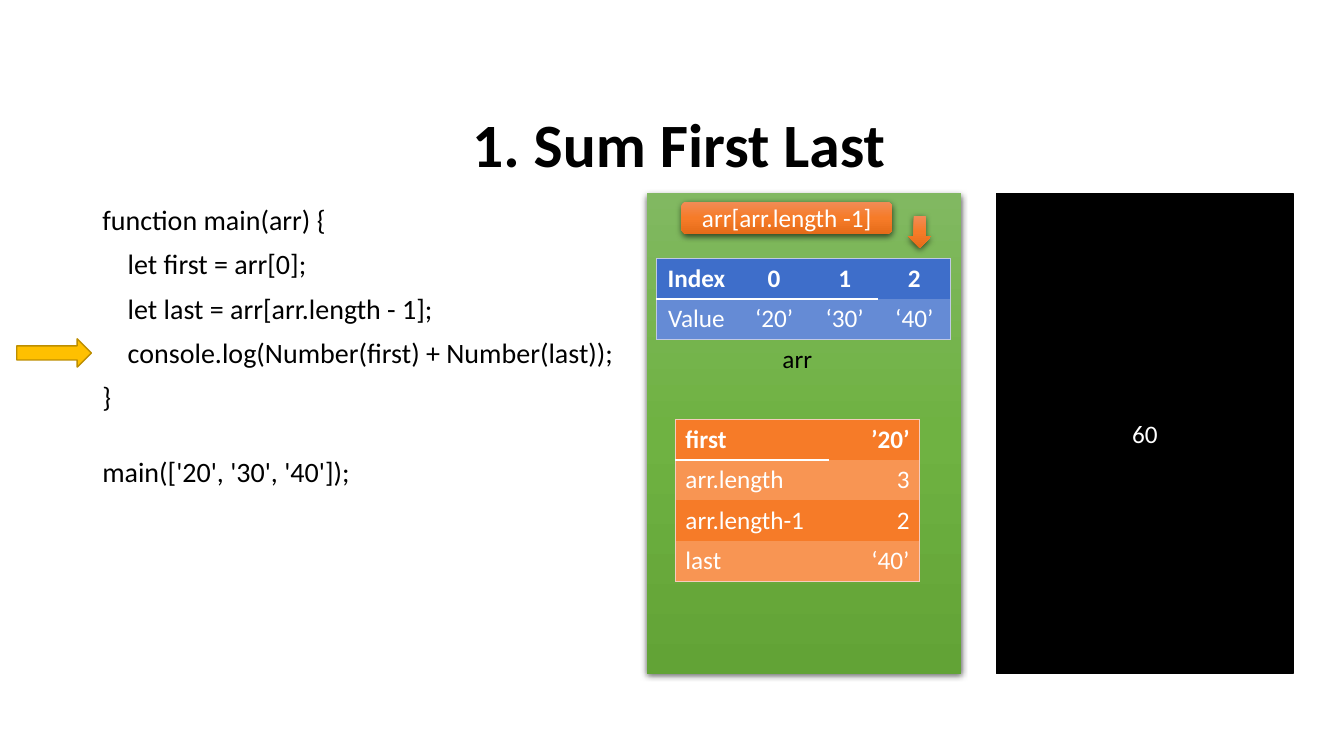
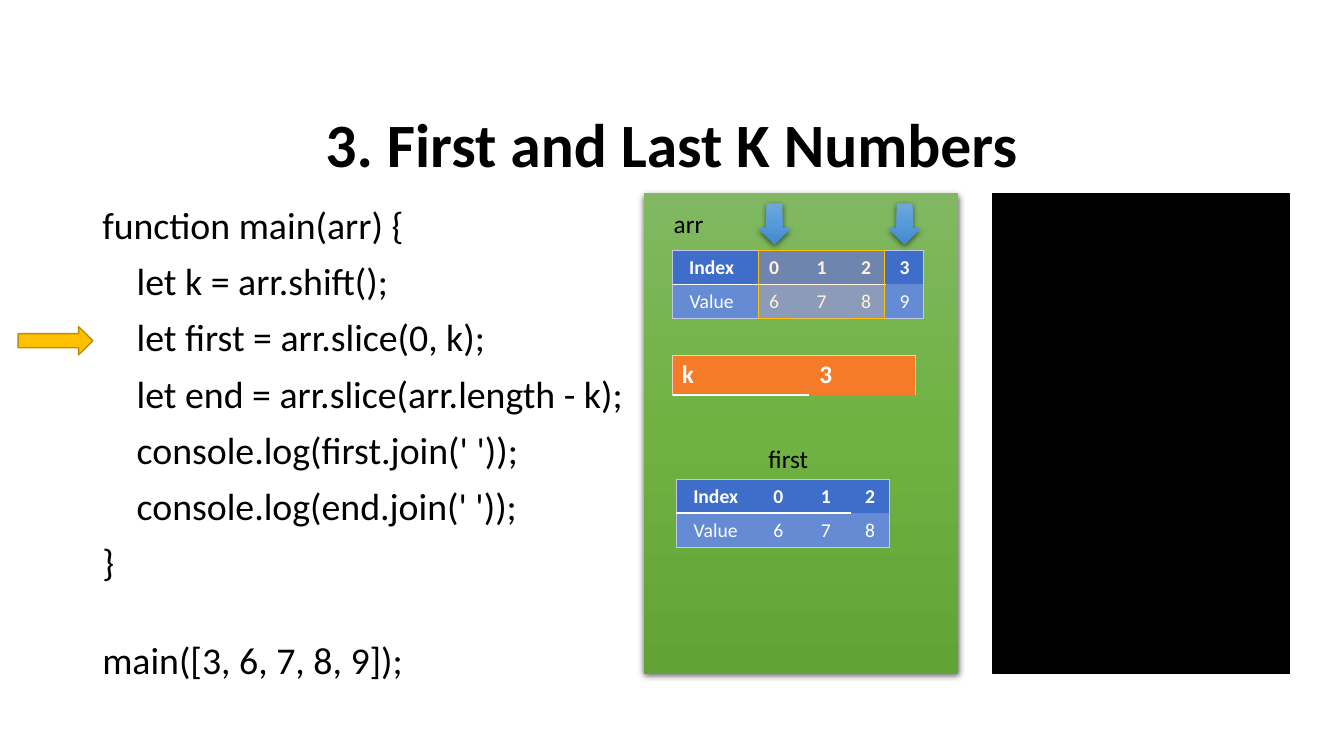
from dataclasses import dataclass
from lxml.etree import SubElement
from pptx import Presentation
from pptx.dml.color import RGBColor
from pptx.enum.shapes import MSO_SHAPE as Shape
from pptx.enum.text import MSO_ANCHOR as Anchor, PP_ALIGN as Align
from pptx.oxml.ns import qn
from pptx.oxml.xmlchemy import OxmlElement
from pptx.util import Pt


# Colours and type sizes
@dataclass(frozen=True)
class Theme:
    font: str = "Calibri"
    title_size: int = 44
    code_size: int = 20
    large_code_size: int = 27
    text_size: int = 18
    small_size: int = 14
    black: str = "000000"
    white: str = "FFFFFF"
    gold: str = "FFC000"
    gold_edge: str = "BD8E00"
    highlight: str = "FFCC66"
    green: tuple = ("81B861", "6FB242", "62A336")
    orange: tuple = ("F18C57", "F67B28", "E56C19")
    blue: tuple = ("71A6DB", "559BDB", "448ACA")
    # Table palettes: header row, alternate row, outer edge
    blue_table: tuple = ("3E6ECA", "658BD5", "C1C9E4")
    orange_table: tuple = ("F67B28", "F89553", "F6CCBE")


theme = Theme()
NO_STYLE = "{2D5ABB26-0587-4C30-8999-92F81FD0307C}"
LINE_SPACING = 0.9
CODE_LEFT = 66


def rgb(value):
    return RGBColor.from_string(value)


def add_color(parent, value, alpha=None):
    color = SubElement(parent, qn("a:srgbClr"), val=value)
    if alpha is not None:
        SubElement(color, qn("a:alpha"), val=str(alpha * 1000))


def write(frame, text, *, size=theme.text_size, color=theme.black, bold=False,
          align=Align.LEFT, spacing=None, before=None, indent=0, first=True):
    """Fill the first paragraph of a frame, or add another one."""
    frame.word_wrap = True
    para = frame.paragraphs[0] if first else frame.add_paragraph()
    para.alignment = align
    if spacing:
        para.line_spacing = spacing
    if before is not None:
        para.space_before = Pt(before)
    if indent:
        para._p.get_or_add_pPr().set("marL", str(Pt(indent)))
    span = para.add_run()
    span.text = text
    span.font.name = theme.font
    span.font.size = Pt(size)
    span.font.bold = bold
    span.font.color.rgb = rgb(color)


def set_borders(cell, edges):
    """Draw the given edges, a dict of side: (colour, width)."""
    props = cell._tc.get_or_add_tcPr()
    sides = [side for side in "LRTB" if side in edges]
    for place, side in enumerate(sides):
        color, width = edges[side]
        line = OxmlElement(f"a:ln{side}")
        line.set("w", str(Pt(width)))
        add_color(SubElement(line, qn("a:solidFill")), color)
        props.insert(place, line)


class Lesson:
    """The deck, its style and the current page."""

    def __init__(self):
        self.deck = Presentation()
        self.deck.slide_width, self.deck.slide_height = Pt(960), Pt(540)
        self.page = None

    def box(self, left, top, width, height):
        area = map(Pt, (left, top, width, height))
        return self.page.shapes.add_textbox(*area).text_frame

    def label(self, text, left, top):
        write(self.box(left, top, 183, 29), text, align=Align.CENTER)

    def title(self, text):
        frame = self.box(66, 28.5, 828, 104)
        frame.vertical_anchor = Anchor.BOTTOM
        write(frame, text, size=theme.title_size, bold=True,
              align=Align.CENTER, spacing=LINE_SPACING)

    def code(self, blocks, size, gap, right):
        """Write code blocks, one line's height apart, ending left of right."""
        frame = self.box(CODE_LEFT, 144, right - CODE_LEFT, 343)
        frame.margin_right = 0
        first = True
        for number, block in enumerate(blocks):
            for row, line in enumerate(block):
                extra = 1.1 * size if number and row == 0 else 0
                text = line.lstrip()
                write(frame, text, size=size, spacing=LINE_SPACING,
                      before=round(gap + extra, 2), first=first,
                      indent=0.91 * size if text != line else 0)
                first = False

    def shape(self, kind, left, top, width, height, fill, *, line=None,
              line_width=1, alpha=None, text=None):
        """A preset shape; a tuple as fill gives a shaded, raised one."""
        area = map(Pt, (left, top, width, height))
        item = self.page.shapes.add_shape(kind, *area)
        item.shadow.inherit = False
        if isinstance(fill, tuple):
            self.shade(item, fill)
        else:
            item.fill.solid()
            item.fill.fore_color.rgb = rgb(fill)
            if alpha is not None:
                color = item.element.spPr.find(".//" + qn("a:srgbClr"))
                SubElement(color, qn("a:alpha"), val=str(alpha * 1000))
        if line:
            item.line.color.rgb = rgb(line)
            item.line.width = Pt(line_width)
        else:
            item.line.fill.background()
        if text:
            item.text_frame.vertical_anchor = Anchor.MIDDLE
            write(item.text_frame, text, color=theme.white, align=Align.CENTER)

    def shade(self, item, colors):
        item.fill.gradient()
        item.fill.gradient_angle = 270
        props = item.element.spPr
        stops = props.find(".//" + qn("a:gsLst"))
        for stop in list(stops):
            stops.remove(stop)
        for place, color in enumerate(colors):
            add_color(SubElement(stops, qn("a:gs"), pos=str(place * 50000)), color)
        shadow = SubElement(props.find(qn("a:effectLst")), qn("a:outerShdw"),
                            blurRad=str(Pt(4.5)), dist=str(Pt(1.5)),
                            dir="5400000", algn="ctr", rotWithShape="0")
        add_color(shadow, theme.black, 63)

    def table(self, rows, left, top, widths, row_height, palette, *,
              size=theme.text_size, aligns=None):
        """A table with a bold header row and alternating fills."""
        area = map(Pt, (left, top, sum(widths), row_height * len(rows)))
        holder = self.page.shapes.add_table(len(rows), len(widths), *area)
        next(holder.element.iter(qn("a:tableStyleId"))).text = NO_STYLE
        grid = holder.table
        for column, width in zip(grid.columns, widths):
            column.width = Pt(width)
        last_row, last_column = len(rows) - 1, len(widths) - 1
        edge = (palette[2], 0.5)
        for r, values in enumerate(rows):
            grid.rows[r].height = Pt(row_height)
            for c, value in enumerate(values):
                cell = grid.cell(r, c)
                cell.fill.solid()
                cell.fill.fore_color.rgb = rgb(palette[r % 2])
                write(cell.text_frame, value, size=size, color=theme.white,
                      bold=r == 0, align=aligns[c] if aligns else Align.CENTER)
                edges = {}
                if c == 0:
                    edges["L"] = edge
                if c == last_column:
                    edges["R"] = edge
                if r == 0:
                    edges["T"] = edge
                    if c < last_column:
                        edges["B"] = (theme.white, 1.5)
                elif r == last_row:
                    edges["B"] = edge
                set_borders(cell, edges)

    def array(self, values, left, top, widths, row_height, size=theme.text_size):
        """An indexed array as a two-row table."""
        header = ["Index", *map(str, range(len(values)))]
        self.table([header, ["Value", *values]], left, top, widths,
                   row_height, theme.blue_table, size=size)

    def start(self, title, code, size, gap, panel_left, pointer, output=None):
        """A page with code, memory panel, output screen and line pointer."""
        self.page = self.deck.slides.add_slide(self.deck.slide_layouts[6])
        self.shape(Shape.RECTANGLE, panel_left, 138.2, 224.6, 343, theme.green)
        self.title(title)
        self.code(code, size, gap, panel_left - 4)
        self.shape(Shape.RIGHT_ARROW, *pointer, 53.3, 20.2, theme.gold,
                   line=theme.gold_edge)
        self.shape(Shape.RECTANGLE, panel_left + 249.5, 138.2, 212, 343,
                   theme.black, line=theme.black, text=output)


lesson = Lesson()

# Slide 1: sum of the first and last elements
lesson.start(" 1. Sum First Last", [
    ["function main(arr) {",
     "    let first = arr[0];",
     "    let last = arr[arr.length - 1];",
     "    console.log(Number(first) + Number(last));",
     "}"],
    ["main(['20', '30', '40']);"],
], theme.code_size, 10, 462.2, (12, 242), output="60")
lesson.array(["‘20’", "‘30’", "‘40’"], 468.7, 184.5, [57.6, 53.3, 47.5, 52], 29)
lesson.label("arr", 478, 242)
lesson.table([["first", "’20’"], ["arr.length", "3"],
              ["arr.length-1", "2"], ["last", "‘40’"]],
             482.4, 299.5, [109.5, 65], 28.9, theme.orange_table,
             aligns=[Align.LEFT, Align.RIGHT])
lesson.shape(Shape.DOWN_ARROW, 648.7, 154, 16.6, 23, theme.orange)
lesson.shape(Shape.ROUNDED_RECTANGLE, 486.7, 144, 150.5, 23, theme.orange,
             text="arr[arr.length -1]")

# Slide 2: first and last k numbers
lesson.start("3. First and Last K Numbers", [
    ["function main(arr) {",
     "    let k = arr.shift();",
     "    let first = arr.slice(0, k);",
     "    let end = arr.slice(arr.length - k);",
     "    console.log(first.join(' '));",
     "    console.log(end.join(' '));",
     "}"],
    ["main([3, 6, 7, 8, 9]);"],
], theme.large_code_size, 11, 459.7, (13, 233.3))
index_widths = [56.9, 32.4, 35.5, 28]
lesson.label("arr", 400.3, 145.5)
lesson.array(["6", "7", "8", "9"], 479.9, 179, [*index_widths, 27], 24.2,
             theme.small_size)
lesson.table([["k", "3"]], 479.9, 253.5, [98.2, 76], 28.9,
             theme.orange_table, aligns=[Align.LEFT, Align.LEFT])
for arrow_left in (542, 635):
    lesson.shape(Shape.DOWN_ARROW, arrow_left, 145.2, 22.3, 29, theme.blue)
lesson.shape(Shape.RECTANGLE, 542, 179, 90, 48.2, theme.highlight,
             line=theme.gold, line_width=0.5, alpha=25)
lesson.array(["6", "7", "8"], 482.8, 342.5, index_widths, 24.2, theme.small_size)
lesson.label("first", 471.6, 313.2)

lesson.deck.save("out.pptx")
